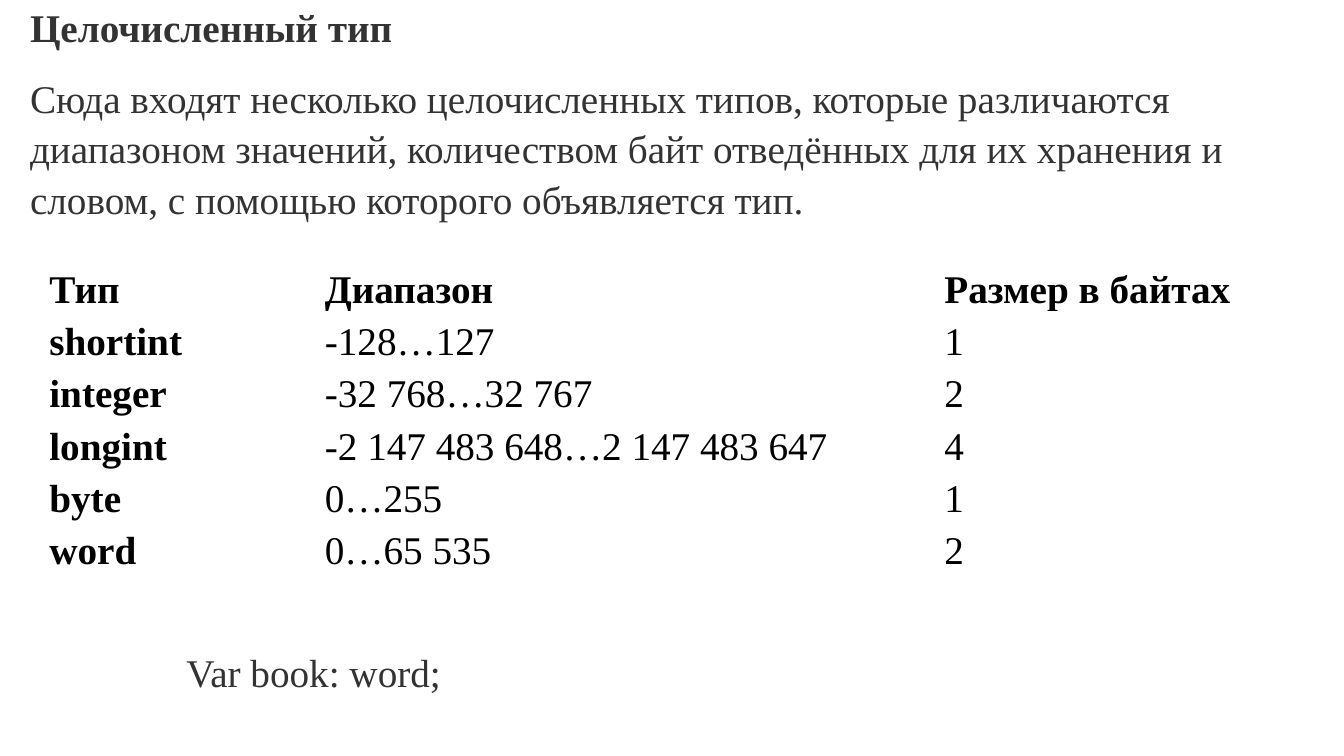
from dataclasses import dataclass

from lxml.etree import SubElement
from pptx import Presentation
from pptx.dml.color import RGBColor
from pptx.enum.text import MSO_ANCHOR, MSO_AUTO_SIZE
from pptx.oxml.ns import qn
from pptx.util import Inches, Pt


@dataclass(frozen=True)
class Theme:
    face: str = "Times New Roman"
    size: int = 28
    gray: str = "333333"
    black: str = "000000"
    white: str = "FFFFFF"
    lead: float = 1.07
    thin: int = 1
    thick: int = 3


theme = Theme()
deck = Presentation()
deck.slide_width, deck.slide_height = Inches(13.33), Inches(7.5)
col, row = deck.slide_width / 100, deck.slide_height / 100
slide = deck.slides.add_slide(deck.slide_layouts[6])


def write(para, text, color, bold=False, lead=theme.lead, after=0):
    para.text = text
    para.line_spacing = lead
    para.space_after = Pt(after)
    font = para.font
    font.name, font.size, font.bold = theme.face, Pt(theme.size), bold
    font.color.rgb = RGBColor.from_string(color)


def place(left, top, width, height):
    return int(left * col), int(top * row), int(width * col), int(height * row)


notes = [
    (place(1.5, 3.07, 97, 26.8), [
        ("Целочисленный тип", True, Pt(15.6), 15),
        ("Сюда входят несколько целочисленных типов, которые различаются "
         "диапазоном значений, количеством байт отведённых для их хранения и "
         "словом, с помощью которого объявляется тип.", False, theme.lead, 22.5),
    ]),
    (place(13.13, 84.67, 50, 7.6), [
        ("Var book: word;", False, theme.lead, 22.5),
    ]),
]
for spot, lines in notes:
    frame = slide.shapes.add_textbox(*spot).text_frame
    frame.word_wrap = True
    frame.auto_size = MSO_AUTO_SIZE.SHAPE_TO_FIT_TEXT
    for n, (text, bold, lead, after) in enumerate(lines):
        para = frame.add_paragraph() if n else frame.paragraphs[0]
        write(para, text, theme.gray, bold, lead, after)

types = [
    ("Тип", "Диапазон", "Размер в байтах"),
    ("shortint", "-128…127", "1"),
    ("integer", "-32 768…32 767", "2"),
    ("longint", "-2 147 483 648…2 147 483 647", "4"),
    ("byte", "0…255", "1"),
    ("word", "0…65 535", "2"),
]
widths = (20.5, 46.1, 26.9)
spot = place(3.6, 34.4, sum(widths), 38.9)
table = slide.shapes.add_table(len(types), len(widths), *spot).table
table.first_row = table.horz_banding = False
for part, width in zip(table.columns, widths):
    part.width = int(width * col)

for r, words in enumerate(types):
    for c, word in enumerate(words):
        cell = table.cell(r, c)
        cell.vertical_anchor = MSO_ANCHOR.BOTTOM
        cell.margin_left = cell.margin_right = Inches(0.01)
        cell.margin_top = cell.margin_bottom = Inches(0.01)
        write(cell.text_frame.paragraphs[0], word, theme.black, r == 0 or c == 0)
        props = cell._tc.get_or_add_tcPr()
        for side in "LRTB":
            heavy = (r, side) in ((0, "B"), (1, "T"))
            wide = Pt(theme.thick if heavy else theme.thin)
            line = SubElement(props, qn(f"a:ln{side}"), w=str(wide))
            fill = SubElement(line, qn("a:solidFill"))
            SubElement(fill, qn("a:srgbClr"), val=theme.white)
        cell.fill.background()

deck.save("out.pptx")
